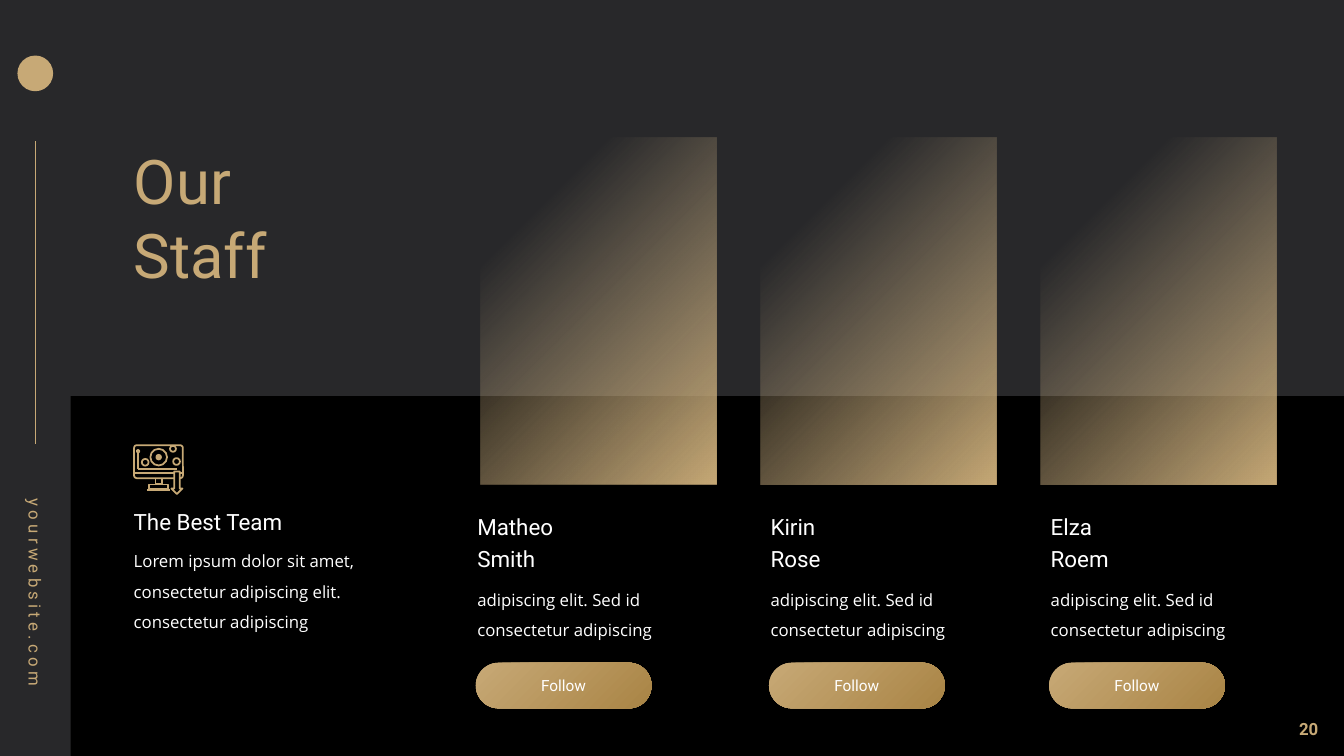
from lxml import etree
from pptx import Presentation
from pptx.dml.color import RGBColor
from pptx.enum.shapes import MSO_CONNECTOR as Connector, MSO_SHAPE as Shape
from pptx.enum.text import MSO_ANCHOR as Anchor, MSO_AUTO_SIZE as AutoSize, PP_ALIGN as Align
from pptx.oxml import parse_xml
from pptx.oxml.ns import nsdecls, qn
from pptx.util import Cm, Pt

GOLD = RGBColor(0xC7, 0xA9, 0x76)
PALE_GOLD = RGBColor(0xD0, 0xB7, 0x8D)
DARK_GOLD = RGBColor(0xA9, 0x84, 0x45)
CHARCOAL = RGBColor(0x28, 0x28, 0x2A)
BLACK = RGBColor(0, 0, 0)
WHITE = RGBColor(0xFF, 0xFF, 0xFF)
HEADING_FONT, BODY_FONT = "Roboto", "Open Sans"

WIDTH, HEIGHT = 33.87, 19.05
SIDEBAR_WIDTH = 1.78
HEADING_TOP = 12.67
CARD_LEFT, CARD_STEP = 12.11, 7.06
# Name and shift of the text column from the card's left edge
STAFF = [(("Matheo", "Smith"), -0.33), (("Kirin", "Rose"), 0), (("Elza", "Roem"), 0)]

DIAGONAL = '<a:lin ang="2700000" scaled="0"/>'
FROM_CORNER = '<a:path path="circle"><a:fillToRect l="100000" t="100000"/></a:path>'


def add_box(shapes, kind, left, top, width, height, fill=None, line=None):
    box = shapes.add_shape(kind, Cm(left), Cm(top), Cm(width), Cm(height))
    box.shadow.inherit = False
    if fill is None:
        box.fill.background()
    else:
        box.fill.solid()
        box.fill.fore_color.rgb = fill
    if line is None:
        box.line.fill.background()
    else:
        box.line.color.rgb = line
        box.line.width = Pt(1.25)
    return box


def add_line(shapes, x1, y1, x2, y2, width=1):
    line = shapes.add_connector(Connector.STRAIGHT, Cm(x1), Cm(y1), Cm(x2), Cm(y2))
    line.line.color.rgb = GOLD
    line.line.width = Pt(width)
    etree.SubElement(line.element.spPr, qn("a:effectLst"))


def fill_gradient(box, stops, direction):
    """Fill with (percent, colour, opacity percent) stops running in a direction."""
    stop_list = "".join(
        f'<a:gs pos="{position * 1000}"><a:srgbClr val="{color}">'
        f'<a:alpha val="{opacity * 1000}"/></a:srgbClr></a:gs>'
        for position, color, opacity in stops)
    gradient = parse_xml(f'<a:gradFill {nsdecls("a")} rotWithShape="1">'
                         f'<a:gsLst>{stop_list}</a:gsLst>{direction}</a:gradFill>')
    properties = box.element.spPr
    properties.replace(properties.find(qn("a:solidFill")), gradient)


def write_text(box, *lines, size=12, font=HEADING_FONT, color=WHITE, bold=False,
               align=Align.LEFT, anchor=Anchor.TOP, line_spacing=1.0, tracking=0):
    frame = box.text_frame
    frame.word_wrap = True
    frame.auto_size = AutoSize.NONE
    frame.vertical_anchor = anchor
    for index, line in enumerate(lines):
        para = frame.add_paragraph() if index else frame.paragraphs[0]
        para.alignment = align
        para.line_spacing = line_spacing
        span = para.add_run()
        span.text = line
        span.font.size = Pt(size)
        span.font.name = font
        span.font.bold = bold
        span.font.color.rgb = color
        if tracking:
            span.font._element.set("spc", str(tracking * 100))


def add_text(page, left, top, width, height, *lines, **style):
    box = page.shapes.add_textbox(Cm(left), Cm(top), Cm(width), Cm(height))
    write_text(box, *lines, **style)
    return box


def add_sidebar(page, left, top, width, height):
    middle = left + width / 2
    add_box(page.shapes, Shape.RECTANGLE, left, top, width, height, CHARCOAL)
    add_line(page.shapes, middle, top + 3.56, middle, top + 11.2)
    add_box(page.shapes, Shape.OVAL, middle - 0.45, top + 1.4, 0.9, 0.9, GOLD)
    address = add_text(page, middle - 3, top + 14.94, 6, 0.76,
                       "yourwebsite.com", color=GOLD, tracking=3)
    address.rotation = 90


def add_title(page, left, top):
    title = page.shapes.title
    title.left, title.top, title.width, title.height = Cm(left), Cm(top), Cm(4.95), Cm(4.01)
    write_text(title, "Our", "Staff", size=44, color=GOLD)
    title.element.getparent().append(title.element)  # in front of the panel


def add_monitor_icon(page, left, top):
    """A screen with a coin, linked nodes and a downward arrow, 1.27 cm square."""
    shapes = page.shapes.add_group_shape().shapes
    screen = add_box(shapes, Shape.ROUNDED_RECTANGLE, left + 0.02, top + 0.02, 1.23, 0.83, line=GOLD)
    screen.adjustments[0] = 0.08
    add_line(shapes, left, top + 0.72, left + 1.25, top + 0.72, 1.25)
    add_line(shapes, left + 0.12, top + 0.2, left + 0.12, top + 0.61, 1.25)
    add_line(shapes, left + 0.12, top + 0.61, left + 1.1, top + 0.61, 1.25)
    for x, y, size in [(0.64, 0.32, 0.42), (0.3, 0.45, 0.17), (1.09, 0.43, 0.17),
                       (1, 0.11, 0.15), (0.12, 0.17, 0.06)]:
        add_box(shapes, Shape.OVAL, left + x - size / 2, top + y - size / 2, size, size, line=GOLD)
    add_box(shapes, Shape.OVAL, left + 0.56, top + 0.24, 0.16, 0.16, GOLD)
    add_box(shapes, Shape.RECTANGLE, left + 0.56, top + 0.86, 0.16, 0.13, line=GOLD)
    add_box(shapes, Shape.RECTANGLE, left + 0.4, top + 1.01, 0.48, 0.12, line=GOLD)
    add_line(shapes, left + 0.34, top + 1.14, left + 0.93, top + 1.14, 1.25)
    add_box(shapes, Shape.DOWN_ARROW, left + 0.96, top + 0.68, 0.28, 0.57, BLACK, GOLD)


def add_team_intro(page, left, top):
    add_monitor_icon(page, left + 0.24, top - 1.47)
    add_text(page, left, top, 4.8, 0.94, "The Best Team", size=16)
    add_text(page, left, top + 0.84, 7.14, 2.49,
             "Lorem ipsum dolor sit amet, consectetur adipiscing elit. consectetur adipiscing",
             font=BODY_FONT, line_spacing=1.5)


def add_portrait(page, left, top):
    card = add_box(page.shapes, Shape.RECTANGLE, left, top, 5.95, 8.75, GOLD)
    fill_gradient(card, [(0, GOLD, 100), (78, PALE_GOLD, 0)], FROM_CORNER)


def add_profile(page, left, top, name):
    add_text(page, left, top, 3.2, 1.8, *name, size=16, line_spacing=1.2)
    add_text(page, left, top + 1.81, 5.23, 1.7, "adipiscing elit. Sed id", "consectetur adipiscing",
             font=BODY_FONT, line_spacing=1.5)
    button = add_box(page.shapes, Shape.ROUNDED_RECTANGLE, left + 0.21, top + 4.03, 4.43, 1.15, GOLD)
    button.adjustments[0] = 0.5
    fill_gradient(button, [(0, GOLD, 100), (100, DARK_GOLD, 100)], DIAGONAL)
    write_text(button, "Follow", size=11, align=Align.CENTER, anchor=Anchor.MIDDLE)


def add_staff_slide(deck):
    page = deck.slides.add_slide(deck.slide_layouts[5])
    page.background.fill.solid()
    page.background.fill.fore_color.rgb = BLACK
    add_sidebar(page, 0, 0, SIDEBAR_WIDTH, HEIGHT)
    add_text(page, WIDTH - 1.78, 17.86, 1.78, 1.02, "20", color=GOLD, bold=True,
             align=Align.CENTER, anchor=Anchor.MIDDLE)
    add_box(page.shapes, Shape.RECTANGLE, 1.7, 0, WIDTH - 1.7, 9.98, CHARCOAL)
    add_title(page, 3.12, 3.48)
    add_team_intro(page, 3.12, HEADING_TOP)
    for index, (name, shift) in enumerate(STAFF):
        left = CARD_LEFT + index * CARD_STEP
        add_portrait(page, left, 3.47)
        add_profile(page, left + shift, HEADING_TOP, name)


def main():
    deck = Presentation()
    deck.slide_width, deck.slide_height = Cm(WIDTH), Cm(HEIGHT)
    add_staff_slide(deck)
    deck.save("out.pptx")


if __name__ == "__main__":
    main()
